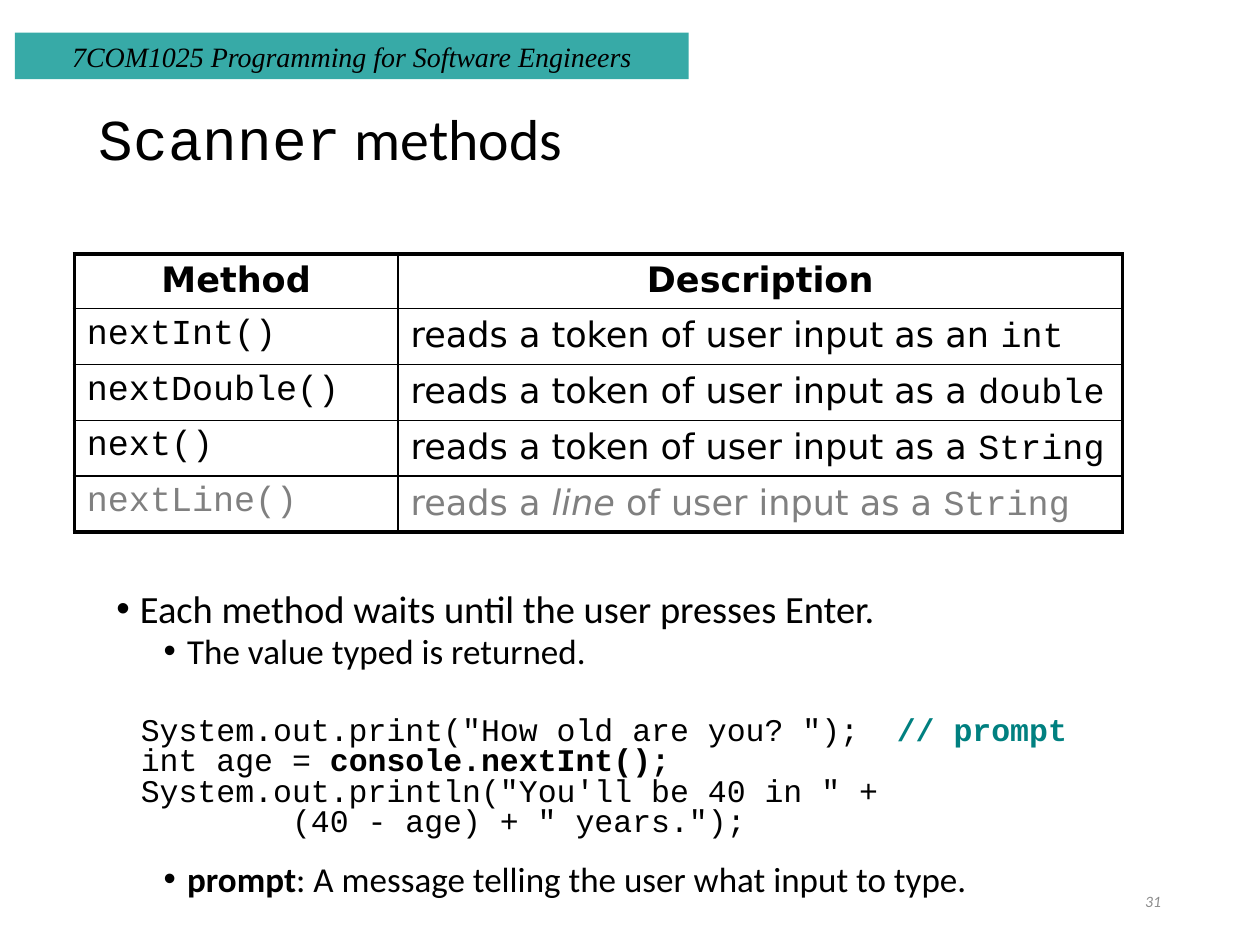
"""Build a slide on the input methods of the Scanner class."""
import lxml.etree
import pptx
import pptx.dml.color
import pptx.enum.shapes
import pptx.enum.text
import pptx.oxml.ns
import pptx.util

Pt = pptx.util.Pt
qn = pptx.oxml.ns.qn
Align = pptx.enum.text.PP_ALIGN
Anchor = pptx.enum.text.MSO_ANCHOR
MONO = "Courier New"
SANS = "DejaVu Sans"
BODY = "Calibri"
SERIF = "Times New Roman"
BLACK = "000000"
GRAY = "808080"


def color(code):
    return pptx.dml.color.RGBColor.from_string(code)


def node(parent, tag, **attrs):
    return lxml.etree.SubElement(parent, qn(tag), attrs)


class Deck:
    def __init__(self, slide):
        self.slide = slide

    def style(self, font, face=None, size=None, ink=None, bold=None, italic=None):
        if face:
            font.name = face
        if size:
            font.size = Pt(size)
        if ink:
            font.color.rgb = color(ink)
        if bold is not None:
            font.bold = bold
        if italic is not None:
            font.italic = italic

    def put(self, para, runs, align=Align.LEFT, line=None, before=0,
            left=0, hang=0, bullet=None, tab=None, **font):
        para.alignment = align
        para.space_before = Pt(before)
        if line:
            para.line_spacing = line
        props = para._p.get_or_add_pPr()
        props.set("marL", str(Pt(left)))
        props.set("indent", str(Pt(-hang)))
        if bullet:
            node(props, "a:buFont", typeface="Arial")
            node(props, "a:buChar", char=bullet)
        if tab:
            node(node(props, "a:tabLst"), "a:tab", pos=str(Pt(tab)), algn="l")
        self.style(para.font, **font)
        for text, look in runs:
            run = para.add_run()
            run.text = text
            self.style(run.font, **look)

    def text(self, box, paras, anchor=Anchor.TOP):
        frame = self.slide.shapes.add_textbox(*map(Pt, box)).text_frame
        frame.word_wrap = True
        frame.vertical_anchor = anchor
        for i, (runs, look) in enumerate(paras):
            para = frame.add_paragraph() if i else frame.paragraphs[0]
            self.put(para, runs, **look)

    def band(self, box, fill, runs, **look):
        kind = pptx.enum.shapes.MSO_SHAPE.RECTANGLE
        shape = self.slide.shapes.add_shape(kind, *map(Pt, box))
        shape.shadow.inherit = False
        shape.fill.solid()
        shape.fill.fore_color.rgb = color(fill)
        shape.line.fill.background()
        self.put(shape.text_frame.paragraphs[0], runs, **look)

    def border(self, cell, widths):
        props = cell._tc.get_or_add_tcPr()
        for i, (side, width) in enumerate(zip("LRTB", widths)):
            line = node(props, "a:ln" + side, w=str(Pt(width)))
            node(node(line, "a:solidFill"), "a:srgbClr", val=BLACK)
            props.insert(i, line)

    def table(self, spot, cols, rows, cells):
        size = sum(cols), sum(rows)
        grid = self.slide.shapes.add_table(
            len(rows), len(cols), *map(Pt, spot + size)).table
        grid.first_row = grid.horz_banding = False
        for col, width in zip(grid.columns, cols):
            col.width = Pt(width)
        for row, height in zip(grid.rows, rows):
            row.height = Pt(height)
        for r, line in enumerate(cells):
            for c, (runs, look) in enumerate(line):
                cell = grid.cell(r, c)
                cell.fill.background()
                edges = c == 0, c == len(cols) - 1, r == 0, r == len(rows) - 1
                self.border(cell, [2.25 if edge else 1 for edge in edges])
                self.put(cell.text_frame.paragraphs[0], runs, size=20, **look)


def main():
    show = pptx.Presentation()
    show.slide_width, show.slide_height = Pt(720), Pt(540)
    deck = Deck(show.slides.add_slide(show.slide_layouts[6]))

    deck.band((8.6, 18.7, 385, 26.6), "37AAA7",
              [("7COM1025 Programming for Software Engineers", {})],
              align=Align.CENTER, face=SERIF, size=16, ink=BLACK, italic=True)
    deck.text((49.5, 28.8, 621, 104.4),
              [([("Scanner", {"face": MONO}), (" methods", {"face": BODY})],
                {"line": 0.9, "size": 33, "ink": BLACK})], Anchor.MIDDLE)

    head = {"align": Align.CENTER, "face": SANS, "ink": BLACK, "bold": True}
    cells = [[([(name, {})], head) for name in ("Method", "Description")]]
    methods = [
        ("nextInt()", ["reads a token of user input as an "], "int", BLACK),
        ("nextDouble()", ["reads a token of user input as a "], "double", BLACK),
        ("next()", ["reads a token of user input as a "], "String", BLACK),
        ("nextLine()", ["reads a ", "line", " of user input as a "], "String", GRAY),
    ]
    for name, parts, kind, ink in methods:
        runs = [(part, {"face": SANS, "italic": part == "line"}) for part in parts]
        cells.append([([(name, {})], {"face": MONO, "ink": ink}),
                      (runs + [(kind, {"face": MONO})], {"ink": ink})])
    deck.table((42.5, 145.2), (185, 414), (30.2,) + (31.9,) * 4, cells)

    point = {"line": 0.8, "hang": 13.5, "bullet": "•", "face": BODY, "ink": BLACK}
    top = dict(point, left=40.5, size=22)
    sub = dict(point, left=67.5, size=20, before=3.8)
    deck.text((32.4, 336, 629, 56), [
        ([("Each method waits until the user presses Enter.", {})], top),
        ([("The value typed is returned.", {})], sub)])

    code = {"line": 0.6, "face": MONO, "size": 18, "ink": BLACK}
    later = dict(code, before=4.5)
    bold = {"bold": True}
    deck.text((73.4, 409.6, 588, 74), [
        ([('System.out.print("How old are you? ");\t', {}),
          ("// prompt", {"ink": "008080", "bold": True})], dict(code, tab=453.6)),
        ([("int age = ", {}), ("console.nextInt();", bold)], later),
        ([('System.out.println("You\'ll be 40 in " +', {})], later),
        ([('(40 - age) + " years.");', {})], dict(later, left=86.4))])
    deck.text((32.4, 491, 629, 30), [
        ([("prompt", bold), (": A message telling the user what input to type.", {})],
         dict(sub, before=0))])

    deck.text((508.5, 500.5, 162, 28.8),
              [([("31", {})], {"align": Align.RIGHT, "face": BODY, "size": 9,
                               "ink": "8C8C8C", "italic": True})], Anchor.MIDDLE)
    show.save("out.pptx")


if __name__ == "__main__":
    main()
